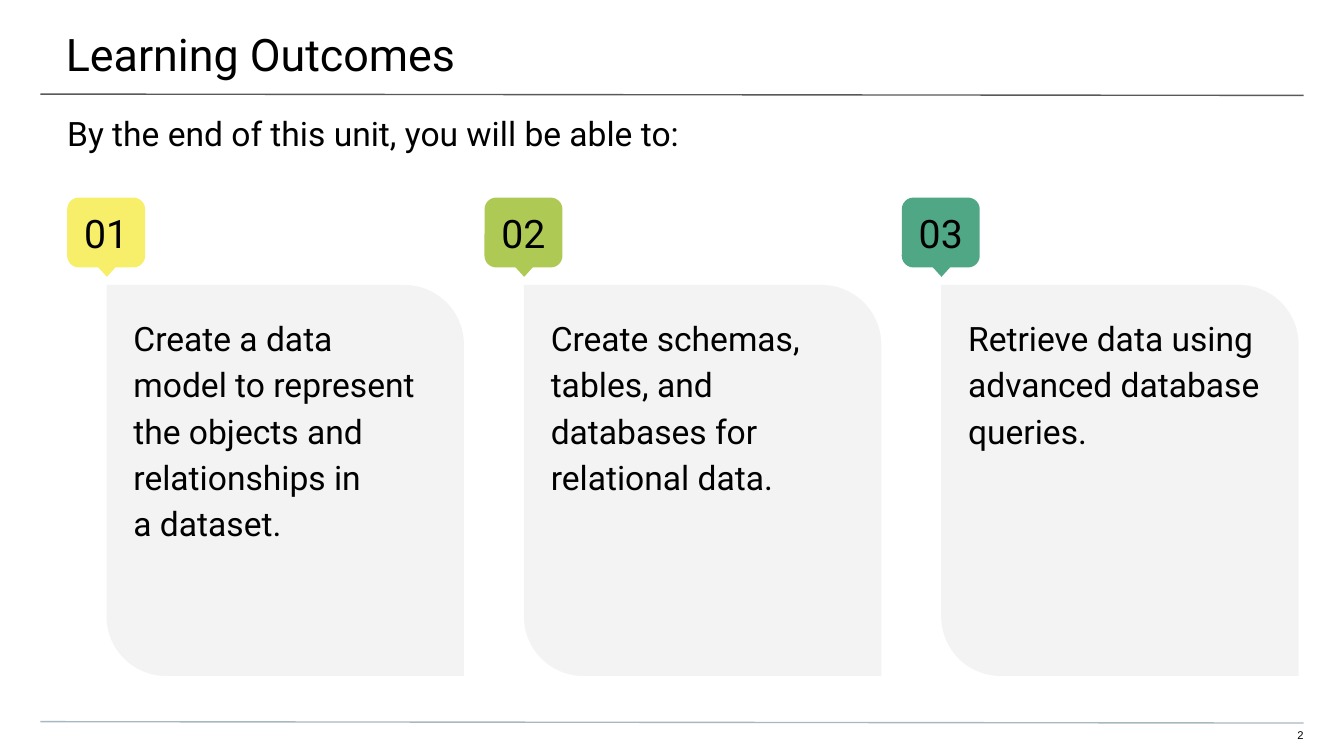
from dataclasses import dataclass

from lxml.etree import SubElement
from pptx import Presentation
from pptx.dml.color import RGBColor
from pptx.enum.shapes import MSO_CONNECTOR, MSO_SHAPE
from pptx.enum.text import MSO_ANCHOR, MSO_AUTO_SIZE, PP_ALIGN
from pptx.oxml.ns import qn
from pptx.shapes.autoshape import Shape
from pptx.slide import Slide
from pptx.util import Inches, Length, Pt

# The slide is a 16:9 grid of square cells, 100 columns by 56.25 rows.
CELL = Inches(0.1)
COLUMNS, ROWS = 100, 56.25


@dataclass(frozen=True)
class Theme:
    font: str = "Roboto"
    number_font: str = "Arial"
    text: str = "000000"
    card: str = "F3F3F3"
    title_rule: str = "595959"
    footer_rule: str = "A9B7C0"
    title_size: float = 24
    badge_size: float = 21
    body_size: float = 18
    number_size: float = 6
    rule_width: float = 0.75
    corner: float = 0.167


@dataclass(frozen=True)
class Area:
    column: float
    row: float
    columns: float
    rows: float

    def box(self) -> tuple[Length, ...]:
        return tuple(cells(n) for n in (self.column, self.row, self.columns, self.rows))


@dataclass(frozen=True)
class Insets:
    left: float = 0
    top: float = 0
    right: float = 0
    bottom: float = 0


@dataclass(frozen=True)
class Outcome:
    number: str
    color: str
    text: str


THEME = Theme()
FIRST_COLUMN, LAST_COLUMN = 5, 67.1
CARD_OFFSET = 2.93
OUTCOMES = (
    Outcome("01", "F7EF6A",
            "Create a data model to represent the objects and relationships in\va dataset."),
    Outcome("02", "AFCA54", "Create schemas, tables, and databases for relational data."),
    Outcome("03", "4FA786", "Retrieve data using advanced database queries."),
)


def cells(count: float) -> Length:
    return Length(round(count * CELL))


def write(shape: Shape, text: str, size: float, insets: Insets, font: str = THEME.font,
          align: PP_ALIGN = PP_ALIGN.LEFT, anchor: MSO_ANCHOR = MSO_ANCHOR.TOP) -> None:
    frame = shape.text_frame
    frame.text = text
    frame.word_wrap = True
    frame.auto_size = MSO_AUTO_SIZE.NONE
    frame.vertical_anchor = anchor
    frame.margin_left, frame.margin_top = cells(insets.left), cells(insets.top)
    frame.margin_right, frame.margin_bottom = cells(insets.right), cells(insets.bottom)
    paragraph = frame.paragraphs[0]
    paragraph.alignment = align
    for run in paragraph.runs:
        run.font.name = font
        run.font.size = Pt(size)
        run.font.color.rgb = RGBColor.from_string(THEME.text)


def add_filled(shapes, kind: MSO_SHAPE, area: Area, color: str) -> Shape:
    shape = shapes.add_shape(kind, *area.box())
    shape.shadow.inherit = False
    shape.fill.solid()
    shape.fill.fore_color.rgb = RGBColor.from_string(color)
    shape.line.fill.background()
    return shape


def add_rule(slide: Slide, row: float, color: str) -> None:
    """Draw a rule between the side margins that falls a tenth of a row."""
    margin = 3
    rule = slide.shapes.add_connector(
        MSO_CONNECTOR.STRAIGHT, cells(margin), cells(row),
        cells(COLUMNS - margin), cells(row + 0.1))
    rule.line.color.rgb = RGBColor.from_string(color)
    rule.line.width = Pt(THEME.rule_width)
    SubElement(rule._element.spPr, qn("a:effectLst"))


def add_title(slide: Slide, text: str) -> None:
    title = slide.shapes.title
    title.left, title.top, title.width, title.height = Area(-0.1, 0, 100.3, 5.8).box()
    write(title, text, THEME.title_size, Insets(5, 2, 3, 1))


def add_badge(slide: Slide, outcome: Outcome, column: float) -> None:
    group = slide.shapes.add_group_shape()
    label = add_filled(group.shapes, MSO_SHAPE.ROUNDED_RECTANGLE,
                       Area(column, 14.7, 5.8, 5.2), outcome.color)
    label.adjustments[0] = THEME.corner
    write(label, outcome.number, THEME.badge_size, Insets(1, 1, 1, 1),
          align=PP_ALIGN.CENTER, anchor=MSO_ANCHOR.MIDDLE)
    pointer = add_filled(group.shapes, MSO_SHAPE.FLOWCHART_EXTRACT,
                         Area(column + 1.5, 19, 2.9, 1.6), outcome.color)
    pointer.rotation = 180


def add_card(slide: Slide, outcome: Outcome, column: float) -> None:
    card = add_filled(slide.shapes, MSO_SHAPE.ROUND_2_DIAG_RECTANGLE,
                      Area(column, 21.2, 26.6, 29.1), THEME.card)
    card.adjustments[0] = 0
    card.adjustments[1] = THEME.corner
    body = slide.shapes.add_textbox(*Area(column, 21.2, 25.9, 29.1).box())
    write(body, outcome.text, THEME.body_size, Insets(2, 2, 2, 2))
    body.text_frame.paragraphs[0].line_spacing = 1.15


def main() -> None:
    presentation = Presentation()
    presentation.slide_width, presentation.slide_height = cells(COLUMNS), cells(ROWS)
    slide = presentation.slides.add_slide(presentation.slide_layouts.get_by_name("Title Only"))

    add_rule(slide, 7, THEME.title_rule)
    add_rule(slide, 53.7, THEME.footer_rule)
    add_title(slide, "Learning Outcomes")
    subtitle = slide.shapes.add_textbox(*Area(0, 7.4, COLUMNS, 4).box())
    write(subtitle, "By the end of this unit, you will be able to:",
          THEME.body_size, Insets(5, 1, 5, 0))
    page_number = slide.shapes.add_textbox(*Area(94.1, 54.2, 2.9, 1.2).box())
    write(page_number, "2", THEME.number_size, Insets(bottom=1),
          font=THEME.number_font, align=PP_ALIGN.RIGHT)

    pitch = (LAST_COLUMN - FIRST_COLUMN) / (len(OUTCOMES) - 1)
    for index, outcome in enumerate(OUTCOMES):
        column = FIRST_COLUMN + index * pitch
        add_badge(slide, outcome, column)
        add_card(slide, outcome, column + CARD_OFFSET)

    presentation.save("out.pptx")


if __name__ == "__main__":
    main()
